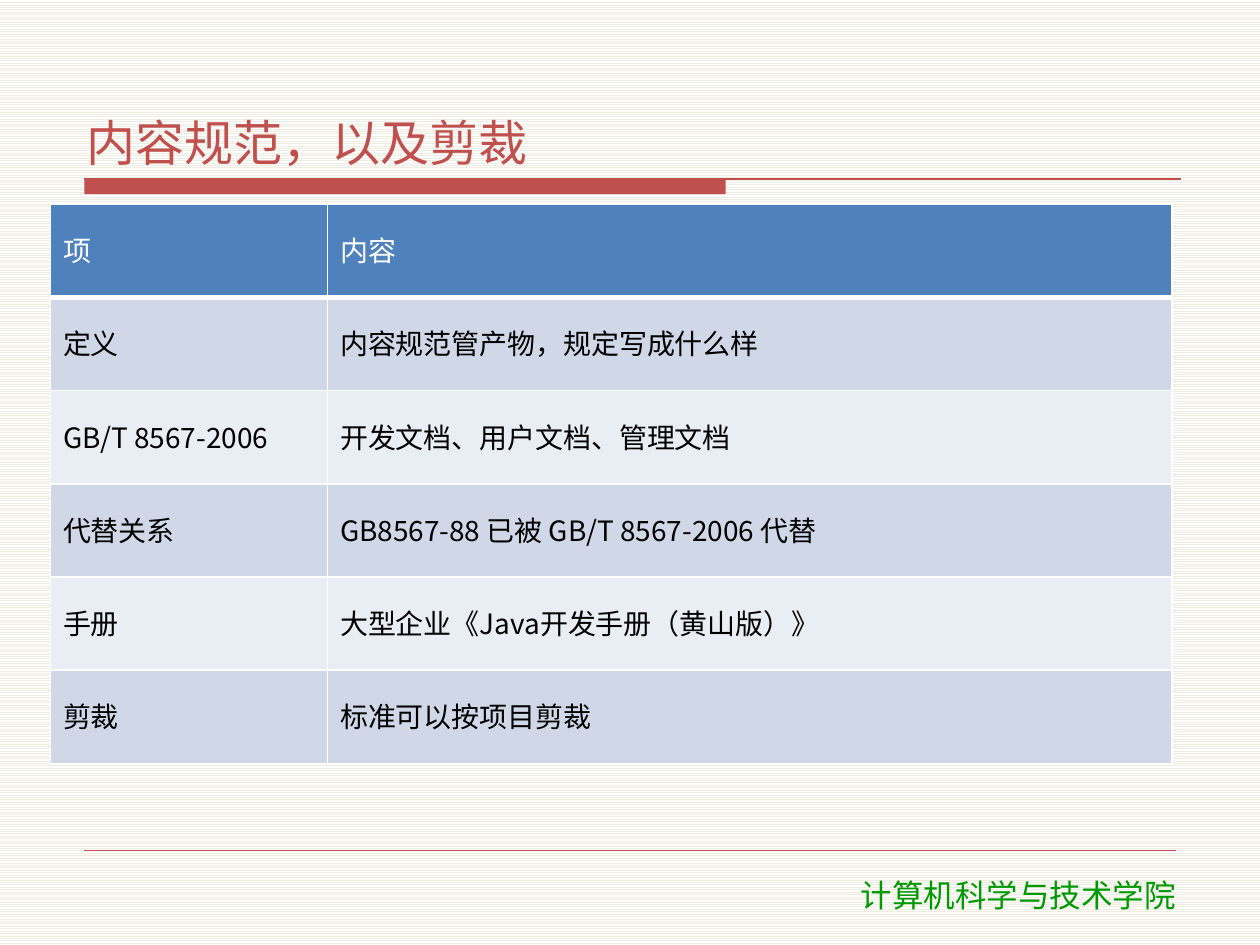
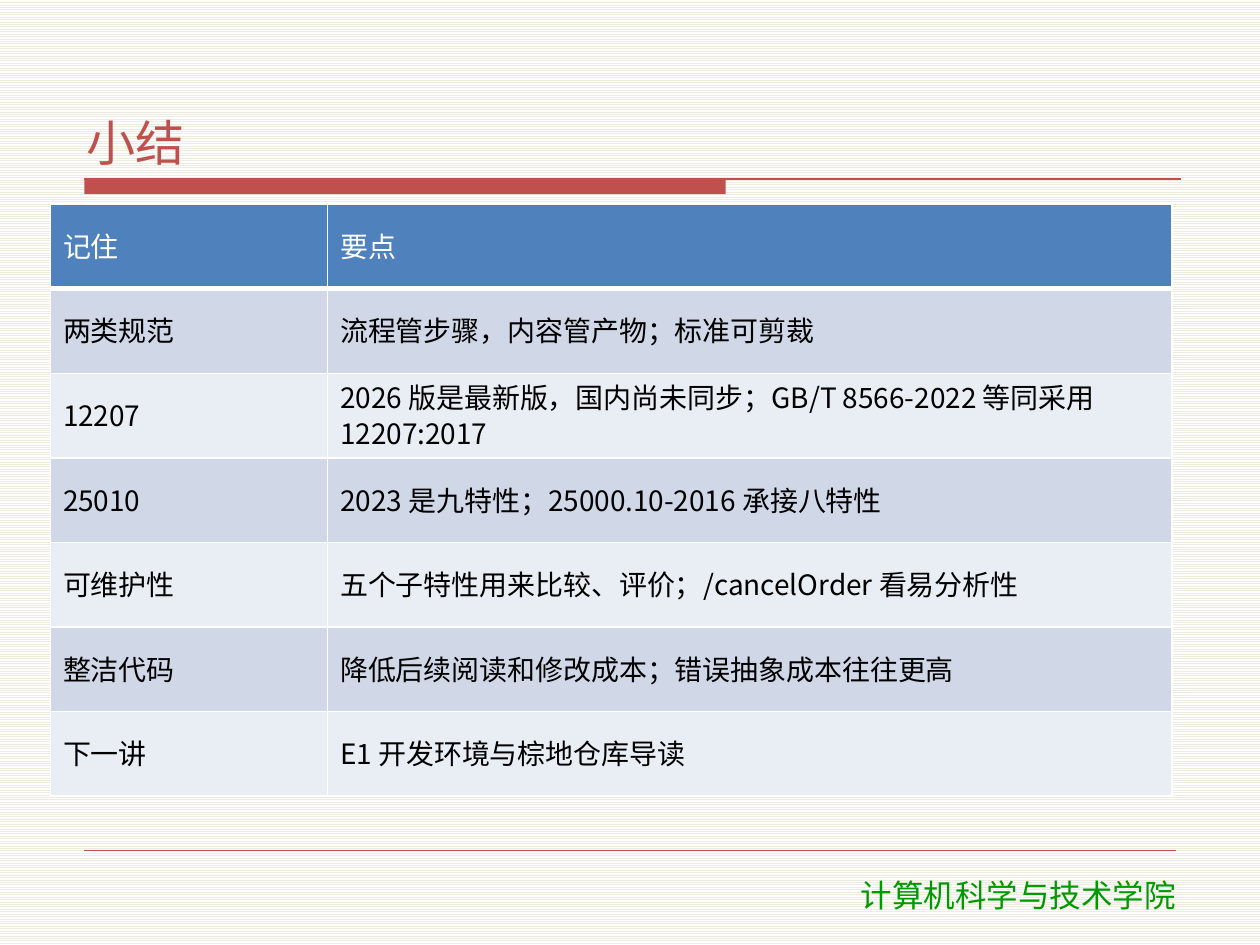
from lxml import etree
from pptx import Presentation
from pptx.dml.color import RGBColor
from pptx.enum.dml import MSO_PATTERN
from pptx.enum.shapes import MSO_CONNECTOR, MSO_SHAPE
from pptx.enum.text import MSO_ANCHOR as Anchor, MSO_AUTO_SIZE as Fit, PP_ALIGN as Align
from pptx.oxml.ns import qn
from pptx.util import Pt

RED = RGBColor(0xC0, 0x50, 0x4D)
GREEN = RGBColor(0x00, 0x99, 0x00)
BLUE = RGBColor(0x4F, 0x81, 0xBD)
DARK = RGBColor(0xD0, 0xD8, 0xE8)
PALE = RGBColor(0xE9, 0xED, 0xF4)
CREAM = RGBColor(0xEE, 0xEC, 0xE1)
WHITE = RGBColor(0xFF, 0xFF, 0xFF)
BLACK = RGBColor(0x00, 0x00, 0x00)

SANS = "Noto Sans CJK SC"
FOOT = "DejaVu Sans"
LEFT = 48.24
RULE_TOP = 102.24
COLS = (158.4, 482.4)

STANDARDS = [
    ("项", "内容"),
    ("定义", "内容规范管产物，规定写成什么样"),
    ("GB/T 8567-2006", "开发文档、用户文档、管理文档"),
    ("代替关系", "GB8567-88 已被 GB/T 8567-2006 代替"),
    ("手册", "大型企业《Java开发手册（黄山版）》"),
    ("剪裁", "标准可以按项目剪裁"),
]
SUMMARY = [
    ("记住", "要点"),
    ("两类规范", "流程管步骤，内容管产物；标准可剪裁"),
    ("12207", "2026 版是最新版，国内尚未同步；GB/T 8566-2022 等同采用 12207:2017"),
    ("25010", "2023 是九特性；25000.10-2016 承接八特性"),
    ("可维护性", "五个子特性用来比较、评价；/cancelOrder 看易分析性"),
    ("整洁代码", "降低后续阅读和修改成本；错误抽象成本往往更高"),
    ("下一讲", "E1 开发环境与棕地仓库导读"),
]


def add_run(para, text, size, color, face):
    run = para.add_run()
    run.text = text
    run.font.size = Pt(size)
    run.font.name = face
    run.font.color.rgb = color
    east = etree.SubElement(run.font._element, qn("a:ea"))
    east.set("typeface", face)


def add_rule(slide, top, right, width):
    """Draw a thin red line from the left margin."""
    rule = slide.shapes.add_connector(
        MSO_CONNECTOR.STRAIGHT, Pt(LEFT), Pt(top), Pt(right), Pt(top))
    rule.line.color.rgb = RED
    rule.line.width = Pt(width)
    etree.SubElement(rule._element.spPr, qn("a:effectLst"))


def add_frame(slide):
    """Add the title band, the lower rule and the footer."""
    bar = slide.shapes.add_shape(
        MSO_SHAPE.RECTANGLE, Pt(LEFT), Pt(RULE_TOP), Pt(366.48), Pt(8.64))
    bar.shadow.inherit = False
    bar.fill.solid()
    bar.fill.fore_color.rgb = RED
    bar.line.fill.background()
    add_rule(slide, RULE_TOP, 674.64, 0.75)
    add_rule(slide, 486, 671.76, 0.25)

    box = slide.shapes.add_textbox(Pt(437.04), Pt(496.8), Pt(289.44), Pt(28.8))
    box.text_frame.word_wrap = True
    para = box.text_frame.paragraphs[0]
    para.alignment = Align.CENTER
    add_run(para, "计算机科学与技术学院", 18, GREEN, FOOT)


def set_title(slide, text):
    title = slide.shapes.title
    title.left, title.top = Pt(45.36), Pt(23.76)
    title.width, title.height = Pt(630), Pt(75.6)
    frame = title.text_frame
    frame.word_wrap = True
    frame.auto_size = Fit.NONE
    frame.vertical_anchor = Anchor.BOTTOM
    frame.margin_left = frame.margin_right = Pt(4.32)
    frame.margin_top = frame.margin_bottom = Pt(1.44)
    para = frame.paragraphs[0]
    para.alignment = Align.LEFT
    para.space_before = Pt(0)
    para.space_after = Pt(2)
    add_run(para, text, 28, RED, SANS)


def set_edges(cell, base):
    """Give a cell white borders, the lower one base points wide."""
    props = cell._tc.get_or_add_tcPr()
    for side, width in (("L", 1), ("R", 1), ("T", 1), ("B", base)):
        edge = etree.SubElement(props, qn(f"a:ln{side}"), w=str(Pt(width)))
        fill = etree.SubElement(edge, qn("a:solidFill"))
        etree.SubElement(fill, qn("a:srgbClr"), val=str(WHITE))


def fill_cell(cell, text, row):
    head = row == 0
    set_edges(cell, 3 if head else 1)
    cell.fill.solid()
    cell.fill.fore_color.rgb = BLUE if head else DARK if row % 2 else PALE
    cell.vertical_anchor = Anchor.MIDDLE
    para = cell.text_frame.paragraphs[0]
    para.line_spacing = 0.9
    para.space_after = Pt(2)
    add_run(para, text, 16, WHITE if head else BLACK, SANS)


def add_grid(slide, rows, height):
    grid = slide.shapes.add_table(
        len(rows), len(COLS), Pt(28.8), Pt(116.64), Pt(sum(COLS)), Pt(height)).table
    for col, width in zip(grid.columns, COLS):
        col.width = Pt(width)
    for r, texts in enumerate(rows):
        for c, text in enumerate(texts):
            fill_cell(grid.cell(r, c), text, r)


def set_back(master):
    """Give every slide the striped background."""
    fill = master.background.fill
    fill.patterned()
    fill.pattern = MSO_PATTERN.LIGHT_HORIZONTAL
    fill.fore_color.rgb = CREAM
    fill.back_color.rgb = WHITE


def add_page(deck, title, rows, height):
    slide = deck.slides.add_slide(deck.slide_layouts.get_by_name("Title Only"))
    add_frame(slide)
    set_title(slide, title)
    add_grid(slide, rows, height)


def main():
    deck = Presentation()
    deck.slide_width, deck.slide_height = Pt(720), Pt(540)
    set_back(deck.slide_master)
    add_page(deck, "内容规范，以及剪裁", STANDARDS, 319.68)
    add_page(deck, "小结", SUMMARY, 338.4)
    deck.save("out.pptx")


if __name__ == "__main__":
    main()
